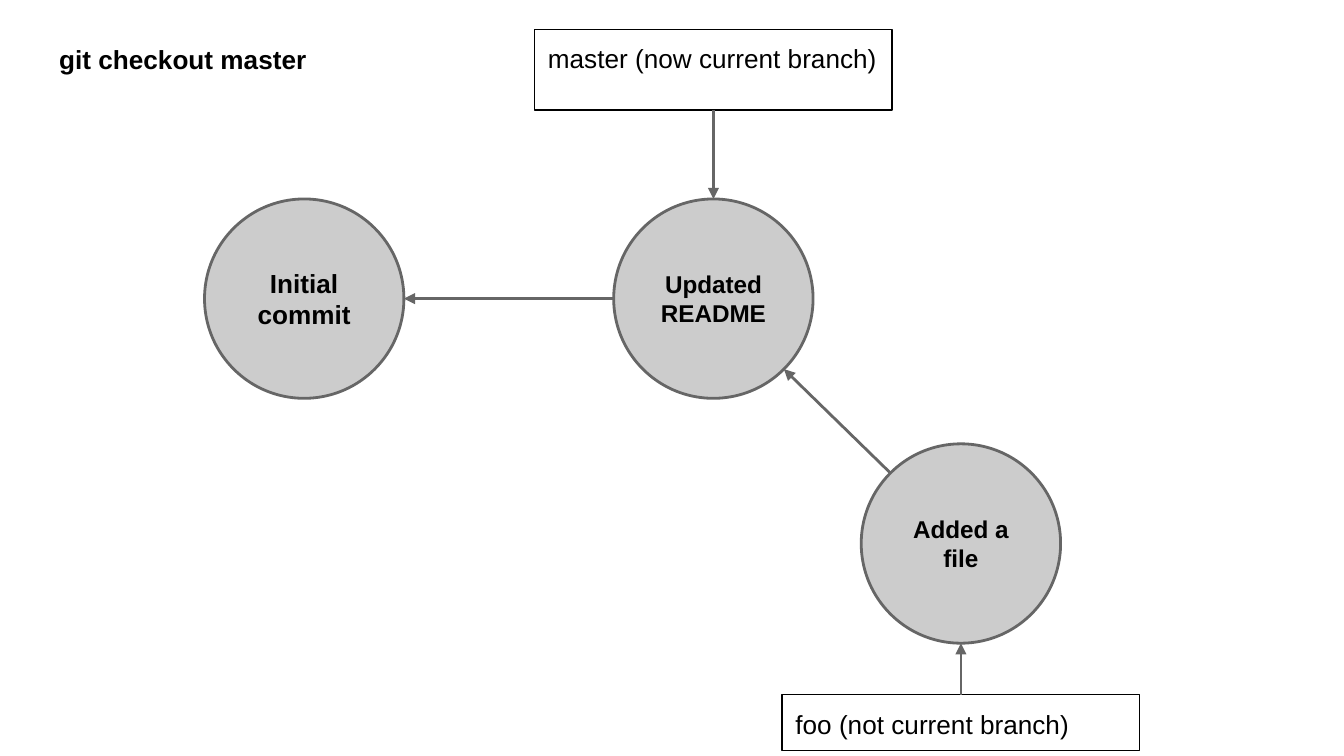
import dataclasses
import math

import pptx
import pptx.dml.color
import pptx.enum.shapes
import pptx.enum.text
import pptx.oxml
import pptx.oxml.ns
import pptx.util

Pt = pptx.util.Pt
SHAPE = pptx.enum.shapes.MSO_SHAPE
ALIGN = pptx.enum.text.PP_ALIGN
ANCHOR = pptx.enum.text.MSO_ANCHOR

FONT = "Arial"
BLACK, GREY, LIGHT = "000000", "666666", "CCCCCC"
RADIUS = 53.4
WIDTH = 191.5  # branch label
INSET = 7.2


@dataclasses.dataclass
class Commit:
    text: str
    x: float  # centre
    y: float
    size: float = 13

    def rim(self, angle: float) -> tuple[float, float]:
        """Point on the circle, in degrees clockwise from the right."""
        turn = math.radians(angle)
        return self.x + RADIUS * math.cos(turn), self.y + RADIUS * math.sin(turn)


@dataclasses.dataclass
class Branch:
    text: str
    x: float  # centre
    top: float
    height: float


def color(code: str) -> pptx.dml.color.RGBColor:
    return pptx.dml.color.RGBColor.from_string(code)


def write(shape, text: str, size: float, bold: bool, align, anchor) -> None:
    frame = shape.text_frame
    frame.text = text
    frame.word_wrap = True
    frame.auto_size = pptx.enum.text.MSO_AUTO_SIZE.NONE
    frame.vertical_anchor = anchor
    frame.margin_left = frame.margin_right = Pt(INSET)
    frame.margin_top = frame.margin_bottom = Pt(INSET)
    para = frame.paragraphs[0]
    para.alignment = align
    font = para.font
    font.name, font.size, font.bold = FONT, Pt(size), bold
    font.color.rgb = color(BLACK)


def outline(shape, code: str, width: float) -> None:
    shape.line.color.rgb = color(code)
    shape.line.width = Pt(width)


def draw_commit(slide, item: Commit) -> None:
    side = Pt(2 * RADIUS)
    shape = slide.shapes.add_shape(
        SHAPE.OVAL, Pt(item.x - RADIUS), Pt(item.y - RADIUS), side, side)
    shape.shadow.inherit = False
    shape.fill.solid()
    shape.fill.fore_color.rgb = color(LIGHT)
    outline(shape, GREY, 1.5)
    write(shape, item.text, item.size, True, ALIGN.CENTER, ANCHOR.MIDDLE)


def draw_branch(slide, item: Branch) -> None:
    shape = slide.shapes.add_shape(
        SHAPE.RECTANGLE, Pt(item.x - WIDTH / 2), Pt(item.top),
        Pt(WIDTH), Pt(item.height))
    shape.shadow.inherit = False
    shape.fill.background()
    outline(shape, BLACK, 0.75)
    write(shape, item.text, 14, False, ALIGN.LEFT, ANCHOR.TOP)


def draw_arrow(slide, start: tuple[float, float], end: tuple[float, float]) -> None:
    line = slide.shapes.add_connector(
        pptx.enum.shapes.MSO_CONNECTOR.STRAIGHT,
        *(Pt(value) for value in (*start, *end)))
    outline(line, GREY, 1.5)
    qn = pptx.oxml.ns.qn
    props = line._element.spPr
    head = props.find(qn("a:ln")).makeelement(
        qn("a:tailEnd"), {"type": "triangle", "w": "med", "len": "med"})
    props.find(qn("a:ln")).append(head)
    props.append(props.makeelement(qn("a:effectLst"), {}))


def main() -> None:
    deck = pptx.Presentation()
    deck.slide_width, deck.slide_height = Pt(720), Pt(405)
    slide = deck.slides.add_slide(deck.slide_layouts[5])

    # Title
    title = slide.shapes.title
    title.left, title.top = Pt(24.5), Pt(15.8)
    title.width, title.height = Pt(187), Pt(43.2)
    write(title, "git checkout master", 14, True, ALIGN.LEFT, ANCHOR.TOP)

    # Commits
    first = Commit("Initial commit", 163, 160, 14)
    second = Commit("Updated README", 382.2, 160)
    third = Commit("Added a file", 514.8, 291.2)
    for item in (first, second, third):
        draw_commit(slide, item)

    # Branch labels
    master = Branch("master (now current branch)", second.x, 15.8, 43.2)
    foo = Branch("foo (not current branch)", third.x, 372.2, 29.8)
    for item in (master, foo):
        draw_branch(slide, item)

    # Arrows to parent commits, then from labels to commits
    draw_arrow(slide, second.rim(180), first.rim(0))
    draw_arrow(slide, third.rim(225), second.rim(45))
    draw_arrow(slide, (master.x, master.top + master.height), second.rim(270))
    draw_arrow(slide, (foo.x, foo.top), third.rim(90))

    deck.save("out.pptx")


if __name__ == "__main__":
    main()
